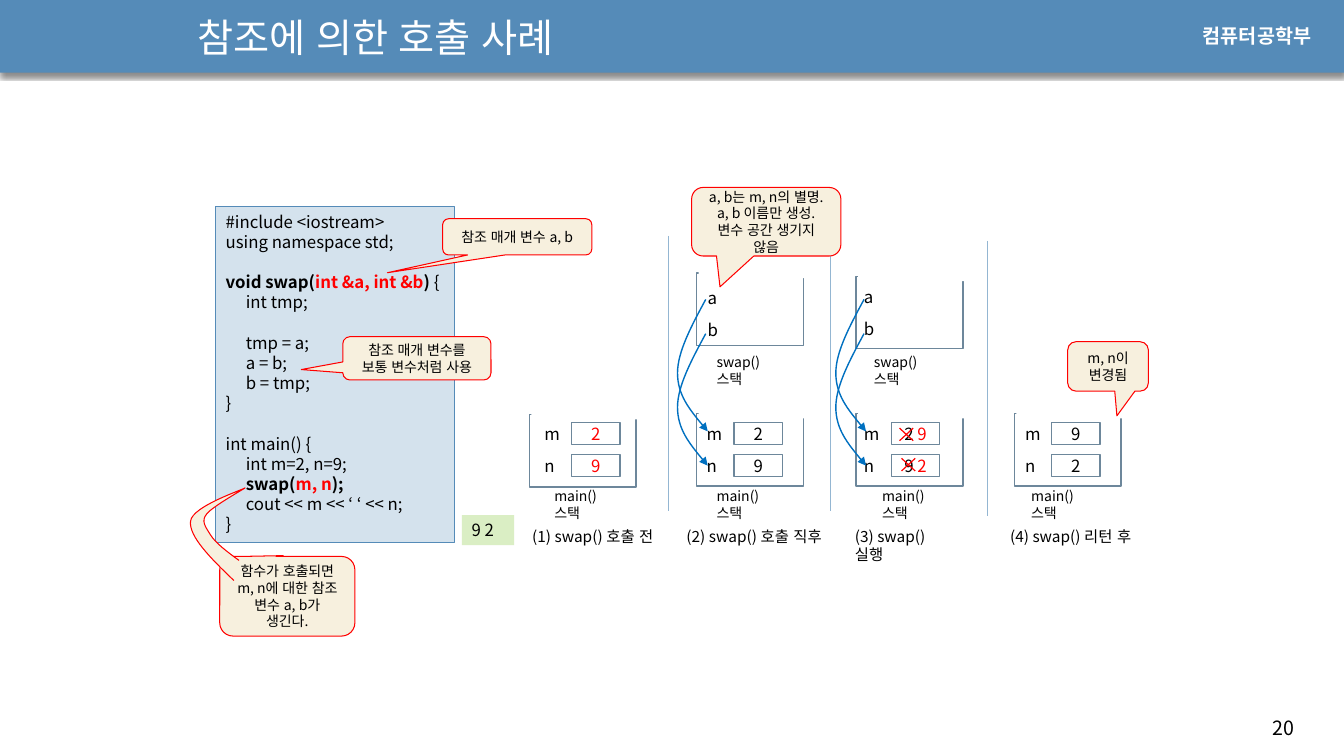
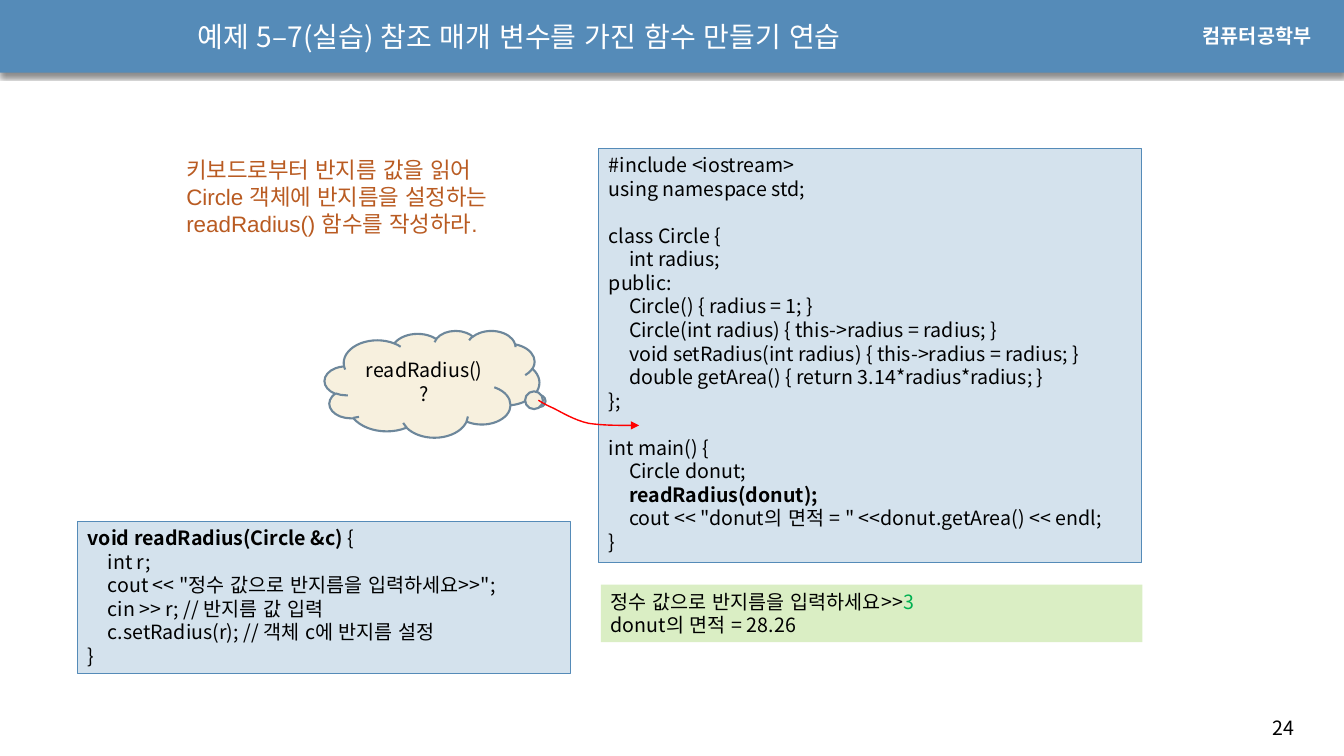
from lxml import etree
from pptx import Presentation
from pptx import util as u
from pptx.dml.color import RGBColor
from pptx.enum import shapes, text
from pptx.oxml.ns import qn

PX = 9144  # EMU per px, 100 px to the inch


class Theme:
    font, latin, asian = "Noto Sans CJK KR", "Arial", "Arial"
    band, white, black, red = "558BB8", "FFFFFF", "000000", "FF0000"
    code, output, note = "D4E2ED", "DAEEC4", "F7F0DE"
    frame, divider, arrow = "6D879B", "94B6D2", "0070C0"
    task, typed = "B95B22", "00B050"
    note_size, caption, body, large, lead = 10, 11, 12, 14, 16
    leading = 1.2
    tab = 20


T = Theme
SH = shapes.MSO_SHAPE
CENTER = text.PP_ALIGN.CENTER


def box(s, kind, x, y, w, h, fill=None, line=None, weight=1, adj=()):
    """Add a preset shape, or a text box when kind is None."""
    place = [v * PX for v in (x, y, w, h)]
    if kind is None:
        return s.shapes.add_textbox(*place)
    sp = s.shapes.add_shape(kind, *place)
    sp.shadow.inherit = False
    sp.fill.solid()
    sp.fill.fore_color.rgb = RGBColor.from_string(fill)
    if line:
        sp.line.color.rgb = RGBColor.from_string(line)
        sp.line.width = u.Pt(weight)
    else:
        sp.line.fill.background()
    for i, value in enumerate(adj):
        sp.adjustments[i] = value
    return sp


def write(sp, lines, size, color=T.black, bold=False, font=T.font, align=None,
          middle=False, right=0):
    """Fill a shape; a line is a string or a list of (text, bold, colour) runs."""
    tf = sp.text_frame
    tf.word_wrap = True
    tf.vertical_anchor = text.MSO_ANCHOR.MIDDLE if middle else text.MSO_ANCHOR.TOP
    if align is None:
        tf.margin_right = right * PX
    for i, line in enumerate(lines):
        p = tf.paragraphs[0] if i == 0 else tf.add_paragraph()
        p.alignment = align or text.PP_ALIGN.LEFT
        p.line_spacing = u.Pt(size * T.leading)
        runs = [(line, bold, color)] if isinstance(line, str) else line
        if runs[0][0].startswith("\t"):
            tabs = etree.SubElement(p._p.get_or_add_pPr(), qn("a:tabLst"))
            etree.SubElement(tabs, qn("a:tab"), pos=str(T.tab * PX), algn="l")
        for words, heavy, ink in runs:
            if not words:
                continue
            r = p.add_run()
            r.text = words
            r.font.size, r.font.bold, r.font.name = u.Pt(size), heavy, font
            r.font.color.rgb = RGBColor.from_string(ink)
            etree.SubElement(r._r.get_or_add_rPr(), qn("a:ea"), typeface=T.asian)


prs = Presentation()
prs.slide_width, prs.slide_height = 1333 * PX, 750 * PX

# Band, title, department and page number on every slide
slides = []
for title, size, number in (
    ("참조에 의한 호출 사례", 28, "20"),
    ("예제 5–7(실습) 참조 매개 변수를 가진 함수 만들기 연습", 20, "24"),
):
    s = prs.slides.add_slide(prs.slide_layouts[6])
    band = box(s, SH.RECTANGLE, 0, -1, 1333, 73, T.band)
    effects = band._element.spPr.find(qn("a:effectLst"))
    shadow = etree.SubElement(effects, qn("a:outerShdw"), blurRad=str(u.Pt(3)),
                              dist=str(u.Pt(2.4)), dir="5400000", rotWithShape="0")
    ink = etree.SubElement(shadow, qn("a:srgbClr"), val=T.black)
    etree.SubElement(ink, qn("a:alpha"), val="45000")
    write(box(s, None, 1252, 705, 71, 34), [number], T.large)
    write(box(s, None, 1183, 19, 137, 34), ["컴퓨터공학부"], T.large, T.white, True, T.latin)
    write(box(s, None, 186, 5, 740, 63), [title], size, T.white, middle=True)
    slides.append(s)
call, exercise = slides

# Slide 1: stack frames, open at the top
for x, y in ((691, 271), (849, 274), (1006, 410), (849, 410), (691, 410), (525, 411)):
    box(call, SH.RECTANGLE, x, y, 106, 72, T.white, T.frame)
    box(call, SH.RECTANGLE, x + 2, y - 4, 105, 9, T.white)

# Slide 1: program
write(box(call, SH.RECTANGLE, 214, 205, 237, 333, T.code, T.band, 0.75), [
    "#include <iostream>",
    "using namespace std;",
    "",
    [("void swap(", True, T.black), ("int &a, int &b", True, T.red),
     (") ", True, T.black), ("{", False, T.black)],
    "\tint tmp;",
    "",
    "\ttmp = a;",
    "\ta = b;",
    "\tb = tmp;",
    "}",
    "",
    "int main() {",
    "\tint m=2, n=9;",
    [("\t", False, T.black), ("swap(", True, T.black), ("m, n", True, T.red),
     (");", True, T.black)],
    "\tcout << m << ‘ ‘ << n;",
    "}",
], T.body)

# Slide 1: the four stages of main(): names, values, stack label, caption
changed = [[("2 ", False, T.black), ("9", False, T.red)],
           [("9 ", False, T.black), ("2", False, T.red)]]
for name_x, cell_x, stack_x, caption_x, caption_w, right, caption, values, color in (
    (530, 567, 540, 518, 146, 0, "(1) swap() 호출 전", "29", T.red),
    (691, 728, 701, 671, 161, 0, "(2) swap() 호출 직후", "29", T.black),
    (847, 884, 865, 838, 125, 25, "(3) swap() 실행", changed, T.black),
    (1007, 1043, 1013, 992, 146, 0, "(4) swap() 리턴 후", "92", T.black),
):
    for row, (name, value) in enumerate(zip("mn", values)):
        y = 415 + 32 * row
        write(box(call, None, name_x, y, 53, 30), [name], T.body)
        cell = box(call, SH.RECTANGLE, cell_x, y + 4, 48, 22, T.white, T.frame)
        write(cell, [value], T.body, color, align=CENTER, middle=True)
    write(box(call, None, stack_x, 479, 93, 27), ["main() 스택"], T.note_size, right=25)
    write(box(call, None, caption_x, 518, caption_w, 29), [caption], T.caption, right=right)

# Slide 1: the two swap() stacks
for name_x, y, stack_x in ((692, 281, 701), (847, 280, 857)):
    for row, name in enumerate("ab"):
        write(box(call, None, name_x, y + 31 * row, 53, 30), [name], T.body)
    write(box(call, None, stack_x, 346, 94, 27), ["swap() 스택"], T.note_size, right=25)

# Slide 1: dividers between stages
for x, top, bottom in ((663, 234, 507), (824, 233, 507), (979, 239, 512)):
    c = call.shapes.add_connector(shapes.MSO_CONNECTOR.STRAIGHT,
                                  x * PX, top * PX, x * PX, bottom * PX)
    c.line.color.rgb = RGBColor.from_string(T.divider)
    c.line.width = u.Pt(0.79)
    etree.SubElement(c._element.spPr, qn("a:effectLst"))

# Slide 1: crosses over the old values
for x, y in ((886, 419), (888, 449)):
    box(call, SH.MATH_MULTIPLY, x, y, 26, 24, T.red, adj=[0.05])

# Slide 1: callouts
for x, y, w, h, tip, lines in (
    (686, 186, 148, 68, (-0.31, 0.95),
     ["a, b는 m, n의 별명.", "a, b 이름만 생성.", "변수 공간 생기지 않음"]),
    (1059, 339, 80, 49, (0.11, 1), ["m, n이 변경됨"]),
    (439, 217, 148, 36, (-0.87, 0.99), ["참조 매개 변수 a, b"]),
    (340, 334, 147, 43, (-0.78, 0.26), ["참조 매개 변수를 보통 변수처럼 사용"]),
    (218, 552, 134, 79, (-0.03, -0.51), ["함수가 호출되면 m, n에 대한 참조 변수 a, b가 생긴다."]),
):
    sp = box(call, SH.ROUNDED_RECTANGULAR_CALLOUT, x, y, w, h, T.note, T.red, 0.75, tip)
    write(sp, lines, T.note_size, align=CENTER, middle=True)

# Slide 1: program output
write(box(call, SH.RECTANGLE, 458, 511, 52, 30, T.output), ["9 2"], T.body)

# Slide 2: main program
write(box(exercise, SH.RECTANGLE, 594, 147, 538, 411, T.code, T.band, 0.75), [
    "#include <iostream>",
    "using namespace std;",
    "",
    "class Circle {",
    "\tint radius;",
    "public:",
    "\tCircle() { radius = 1; }",
    "\tCircle(int radius) { this->radius = radius; }",
    "\tvoid setRadius(int radius) { this->radius = radius; }",
    "\tdouble getArea() { return 3.14*radius*radius; }",
    "};",
    "",
    "int main() {",
    "\tCircle donut;",
    [("\t", False, T.black), ("readRadius(donut);", True, T.black)],
    "\tcout << \"donut의 면적 = \" <<donut.getArea() << endl;",
    "}",
], T.large)

# Slide 2: program output
write(box(exercise, SH.RECTANGLE, 596, 580, 537, 57, T.output), [
    [("정수 값으로 반지름을 입력하세요>>", False, T.black), ("3", False, T.typed)],
    "donut의 면적 = 28.26",
], T.large)

# Slide 2: task and cloud
write(box(exercise, None, 175, 150, 354, 91), [
    "키보드로부터 반지름 값을 읽어",
    "Circle 객체에 반지름을 설정하는",
    "readRadius() 함수를 작성하라.",
], T.lead, T.task, font=T.latin)
cloud = box(exercise, SH.CLOUD_CALLOUT, 322, 328, 213, 106, T.note, T.frame, 1.5, (0.5, 0.16))
write(cloud, ["readRadius() ?"], T.large, align=CENTER, middle=True)

# Slide 2: answer
write(box(exercise, SH.RECTANGLE, 77, 517, 489, 151, T.code, T.band, 0.75), [
    [("void readRadius(Circle &c) ", True, T.black), ("{", False, T.black)],
    "\tint r;",
    "\tcout << \"정수 값으로 반지름을 입력하세요>>\";",
    "\tcin >> r; // 반지름 값 입력",
    "\tc.setRadius(r); // 객체 c에 반지름 설정",
    "}",
], T.large)

# Curves: each is a chain of cubic Béziers; unfilled ones end in an arrowhead
alias = [(0, 0), (-14, 26), (-28, 52), (-28, 73), (-28, 95), (-13, 113), (2, 131)]
curves = [(call, [(x + dx, y + dy) for dx, dy in alias], None, T.arrow, 1)
          for x in (700, 857) for y in (297, 331)]
curves += [
    (call, [(232, 576), (209, 554), (187, 532), (189, 517), (191, 502), (241, 486), (243, 484),
            (246, 483), (211, 502), (205, 510), (199, 517), (204, 523), (209, 531),
            (214, 539), (226, 548), (237, 556)], T.note, T.red, 0.75),
    (exercise, [(534, 397), (537, 399), (540, 401), (549, 405), (557, 409), (570, 417),
                (584, 420), (598, 422), (616, 422), (634, 422)], None, T.red, 1),
]
for s, pts, fill, color, weight in curves:
    fb = s.shapes.build_freeform(*pts[0], scale=PX)
    fb.add_line_segments(pts[1:], close=False)
    sp = fb.convert_to_shape()
    # Every three points become the control points and end of one Bézier
    legs = list(sp._element.iter(qn("a:lnTo")))
    for i in range(0, len(legs), 3):
        bezier = etree.Element(qn("a:cubicBezTo"))
        legs[i].addprevious(bezier)
        for leg in legs[i:i + 3]:
            bezier.append(leg[0])
            leg.getparent().remove(leg)
    sp.shadow.inherit = False
    sp.line.color.rgb = RGBColor.from_string(color)
    sp.line.width = u.Pt(weight)
    if fill:
        sp.fill.solid()
        sp.fill.fore_color.rgb = RGBColor.from_string(fill)
    else:
        sp.fill.background()
        etree.SubElement(sp.line._get_or_add_ln(), qn("a:tailEnd"), type="triangle")

prs.save("out.pptx")
